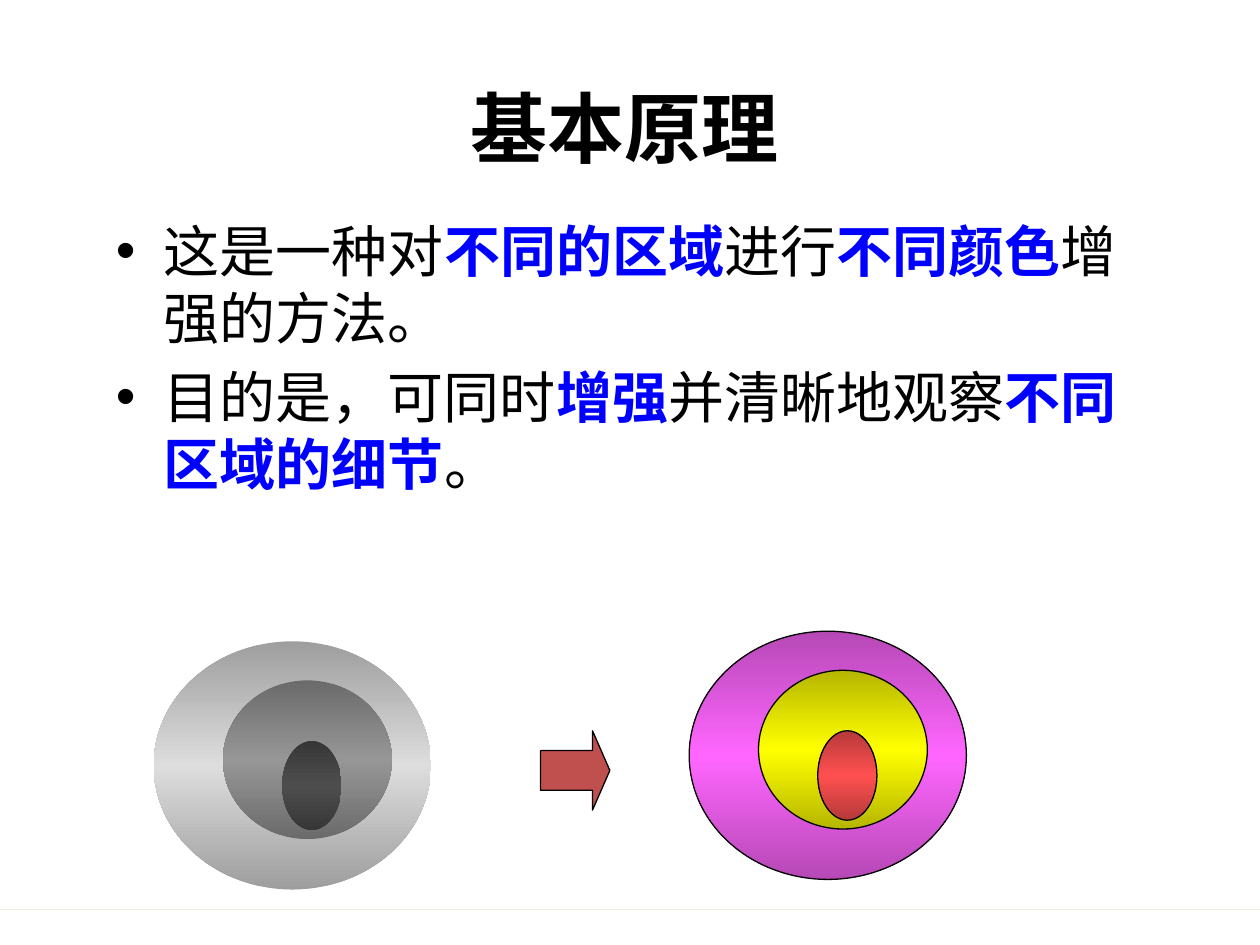
from lxml import etree
from pptx import Presentation
from pptx import util as u
from pptx.dml.color import RGBColor
from pptx.enum import shapes, text
from pptx.oxml import parse_xml
from pptx.oxml.ns import nsdecls, qn

BLACK = RGBColor(0x00, 0x00, 0x00)
BLUE = RGBColor(0x00, 0x00, 0xFF)
RULE = RGBColor(0xEE, 0xEC, 0xE1)
ARROW = RGBColor(0xC0, 0x50, 0x4D)
GREYS = [RGBColor(0xDD, 0xDD, 0xDD), RGBColor(0x96, 0x96, 0x96), RGBColor(0x4D, 0x4D, 0x4D)]
COLOURS = [RGBColor(0xFF, 0x66, 0xFF), RGBColor(0xFF, 0xFF, 0x00), RGBColor(0xFF, 0x50, 0x50)]

# Offsets from the outer region, then width and height, outermost first
REGIONS = [(0, 0, 2.2, 1.97), (0.55, 0.31, 1.34, 1.26), (1.02, 0.79, 0.47, 0.71)]

# Each bullet is a list of (text, emphasised) pairs
BULLETS = [
    [("这是一种对", False), ("不同的区域", True), ("进行", False),
     ("不同颜色", True), ("增强的方法。", False)],
    [("目的是，可同时", False), ("增强", True), ("并清晰地观察", False),
     ("不同区域的细节", True), ("。", False)],
]


def place(sp, left, top, width, height):
    sp.left, sp.top = u.Inches(left), u.Inches(top)
    sp.width, sp.height = u.Inches(width), u.Inches(height)


def add_run(p, content, size, colour, bold):
    r = p.add_run()
    r.text = content
    r.font.size, r.font.bold, r.font.name = u.Pt(size), bold, "Arial"
    r.font.color.rgb = colour
    etree.SubElement(r.font._element, qn("a:ea")).set("typeface", "Arial")


def fill_title(sp):
    place(sp, 0.59, 0.55, 8.74, 0.76)
    tf = sp.text_frame
    tf.auto_size = text.MSO_AUTO_SIZE.NONE
    tf.vertical_anchor = text.MSO_ANCHOR.MIDDLE
    p = tf.paragraphs[0]
    p.alignment, p.line_spacing = text.PP_ALIGN.CENTER, 1.2
    add_run(p, "基本原理", 44, BLACK, True)


def fill_body(sp):
    place(sp, 0.82, 1.67, 8.27, 2.52)
    tf = sp.text_frame
    tf.auto_size = text.MSO_AUTO_SIZE.NONE
    for i, runs in enumerate(BULLETS):
        p = tf.add_paragraph() if i else tf.paragraphs[0]
        p.space_before = u.Pt(6.4 if i else 0)
        pPr = p._p.get_or_add_pPr()
        pPr.set("marL", str(u.Inches(0.38)))
        pPr.set("indent", str(u.Inches(-0.38)))
        etree.SubElement(pPr, qn("a:buChar")).set("char", "•")
        for content, strong in runs:
            add_run(p, content, 32, BLUE if strong else BLACK, strong)


def outline(sp):
    sp.line.color.rgb = BLACK
    sp.line.width = u.Pt(0.75)


def shade_edges(sp, colour):
    """Fill with a vertical gradient, full colour midway and darker at both ends."""
    sp.fill.gradient()
    sp.fill.gradient_angle = 270
    dark = '<a:shade val="46275"/>'
    stops = "".join(
        f'<a:gs pos="{pos}"><a:srgbClr val="{colour}">{mod}</a:srgbClr></a:gs>'
        for pos, mod in ((0, dark), (50000, ""), (100000, dark)))
    old = sp._element.spPr.find(qn("a:gradFill")).find(qn("a:gsLst"))
    old.getparent().replace(old, parse_xml(f'<a:gsLst {nsdecls("a")}>{stops}</a:gsLst>'))


def add_regions(s, left, top, palette, outlined):
    group = s.shapes.add_group_shape()
    for (dx, dy, width, height), colour in zip(REGIONS, palette):
        sp = group.shapes.add_shape(
            shapes.MSO_SHAPE.OVAL, u.Inches(left + dx), u.Inches(top + dy),
            u.Inches(width), u.Inches(height))
        sp.shadow.inherit = False
        shade_edges(sp, colour)
        if outlined:
            outline(sp)
        else:
            sp.line.fill.background()


def add_arrow(s):
    sp = s.shapes.add_shape(shapes.MSO_SHAPE.RIGHT_ARROW, 0, 0, 0, 0)
    place(sp, 4.29, 5.8, 0.55, 0.63)
    sp.adjustments[0], sp.adjustments[1] = 0.5, 0.25
    sp.shadow.inherit = False
    sp.fill.solid()
    sp.fill.fore_color.rgb = ARROW
    outline(sp)


def add_footer_rule(s, width):
    y = u.Inches(7.22)
    line = s.shapes.add_connector(shapes.MSO_CONNECTOR.STRAIGHT, 0, y, width, y)
    line.line.color.rgb = RULE
    line.line.width = u.Pt(0.75)
    etree.SubElement(line._element.spPr, qn("a:effectLst"))


def main():
    prs = Presentation()
    prs.slide_width, prs.slide_height = u.Inches(10), u.Inches(7.5)
    s = prs.slides.add_slide(prs.slide_layouts[1])
    add_footer_rule(s, prs.slide_width)
    fill_title(s.shapes.title)
    fill_body(s.placeholders[1])
    add_regions(s, 1.22, 5.09, GREYS, outlined=False)
    add_regions(s, 5.47, 5.01, COLOURS, outlined=True)
    add_arrow(s)
    prs.save("out.pptx")


if __name__ == "__main__":
    main()
